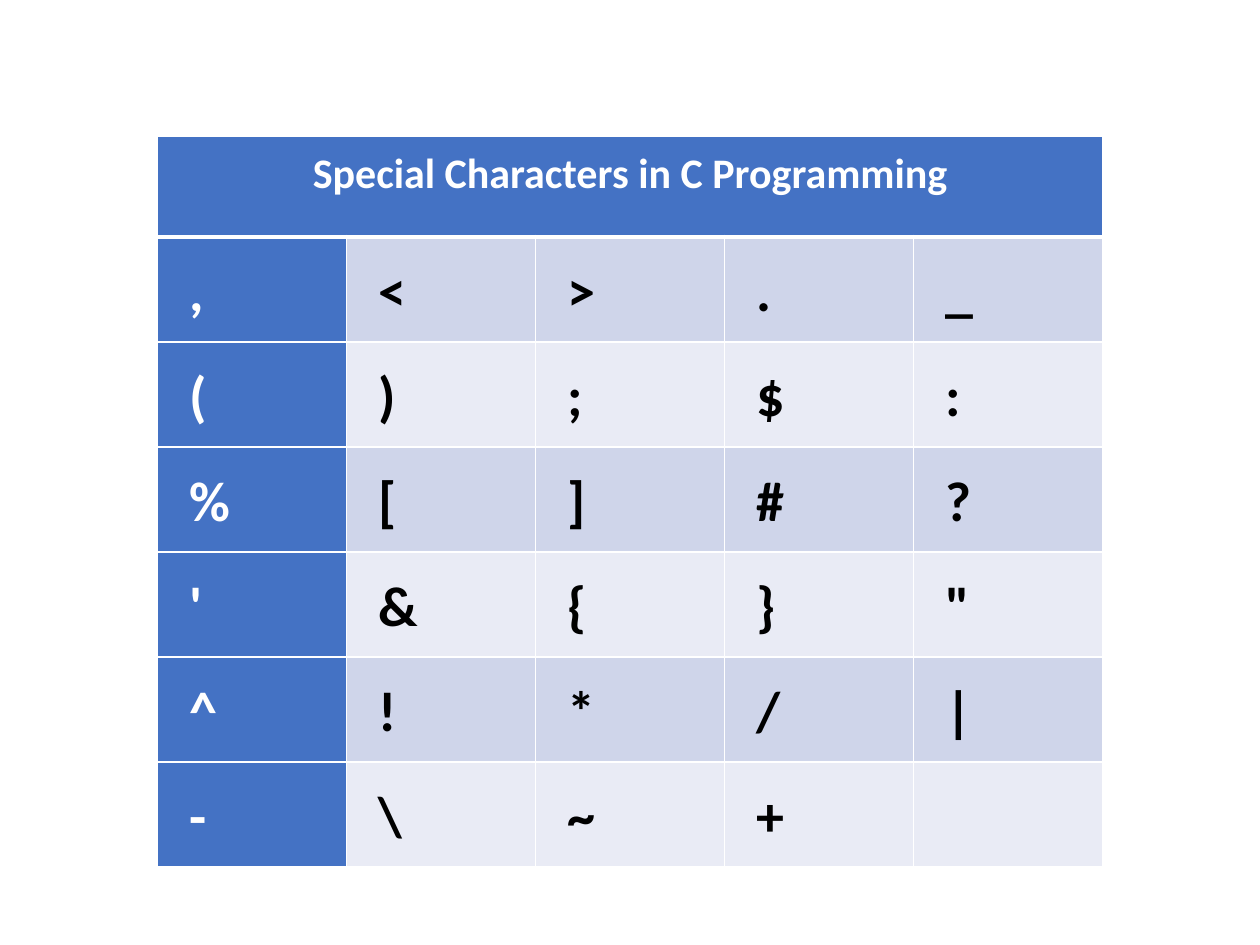
from lxml import etree
from pptx import Presentation
from pptx.dml.color import RGBColor
from pptx.enum.text import MSO_ANCHOR, PP_ALIGN
from pptx.oxml.ns import qn
from pptx.util import Cm, Pt

MIDDLE = MSO_ANCHOR.MIDDLE
CENTER = PP_ALIGN.CENTER

BLUE = RGBColor(0x44, 0x72, 0xC4)
BAND_DARK = RGBColor(0xCF, 0xD5, 0xEA)
BAND_LIGHT = RGBColor(0xE9, 0xEB, 0xF5)
WHITE = RGBColor(0xFF, 0xFF, 0xFF)
BLACK = RGBColor(0x00, 0x00, 0x00)

TITLE = "Special Characters in C Programming"
CHARACTERS = [
    [",", "<", ">", ".", "_"],
    ["(", ")", ";", "$", ":"],
    ["%", "[", "]", "#", "?"],
    ["'", "&", "{", "}", '"'],
    ["^", "!", "*", "/", "|"],
    ["-", "\\", "~", "+", ""],
]
COLUMN_WIDTH = Cm(3.81)
HEADER_HEIGHT = Cm(2.03)
ROW_HEIGHT = Cm(2.09)


def add_border(cell, side, width):
    """Draw a white line on one side of a cell: L, R, T or B."""
    properties = cell._tc.get_or_add_tcPr()
    line = etree.SubElement(properties, qn(f"a:ln{side}"), w=str(Pt(width)))
    fill = etree.SubElement(line, qn("a:solidFill"))
    etree.SubElement(fill, qn("a:srgbClr"), val=str(WHITE))


def style_cell(cell, row, fill_color):
    """Set the margins, borders and fill of a cell."""
    cell.margin_left = cell.margin_right = Cm(0.64)
    cell.margin_top = cell.margin_bottom = Cm(0.32)
    cell.vertical_anchor = MIDDLE
    for side in "LRTB":
        under_header = (row, side) in ((0, "B"), (1, "T"))
        add_border(cell, side, 3 if under_header else 1)
    cell.fill.solid()
    cell.fill.fore_color.rgb = fill_color


presentation = Presentation()
presentation.slide_width = Cm(25.4)
presentation.slide_height = Cm(19.05)
slide = presentation.slides.add_slide(presentation.slide_layouts[6])

# Table grid
row_count = len(CHARACTERS) + 1
column_count = len(CHARACTERS[0])
table = slide.shapes.add_table(
    row_count, column_count, Cm(3.18), Cm(2.75),
    COLUMN_WIDTH * column_count,
    HEADER_HEIGHT + ROW_HEIGHT * len(CHARACTERS)).table
for column in table.columns:
    column.width = COLUMN_WIDTH
for index, table_row in enumerate(table.rows):
    table_row.height = ROW_HEIGHT if index else HEADER_HEIGHT

# Header across all columns
for column in range(column_count):
    style_cell(table.cell(0, column), 0, BLUE)
header = table.cell(0, 0)
header.merge(table.cell(0, column_count - 1))
header.text = TITLE
paragraph = header.text_frame.paragraphs[0]
paragraph.alignment = CENTER
paragraph.line_spacing = Pt(15)
paragraph.space_after = Pt(8)
paragraph.font.name = "Calibri"
paragraph.font.size = Pt(24)
paragraph.font.bold = True
paragraph.font.color.rgb = WHITE

# Characters, with a blue first column and banded rows
for row, characters in enumerate(CHARACTERS, start=1):
    band = BAND_DARK if row % 2 else BAND_LIGHT
    for column, character in enumerate(characters):
        cell = table.cell(row, column)
        style_cell(cell, row, band if column else BLUE)
        cell.text = character
        paragraph = cell.text_frame.paragraphs[0]
        paragraph.line_spacing = 1.07
        paragraph.space_after = Pt(8)
        paragraph.font.name = "Calibri"
        paragraph.font.size = Pt(32)
        paragraph.font.bold = True
        paragraph.font.color.rgb = BLACK if column else WHITE

presentation.save("out.pptx")
